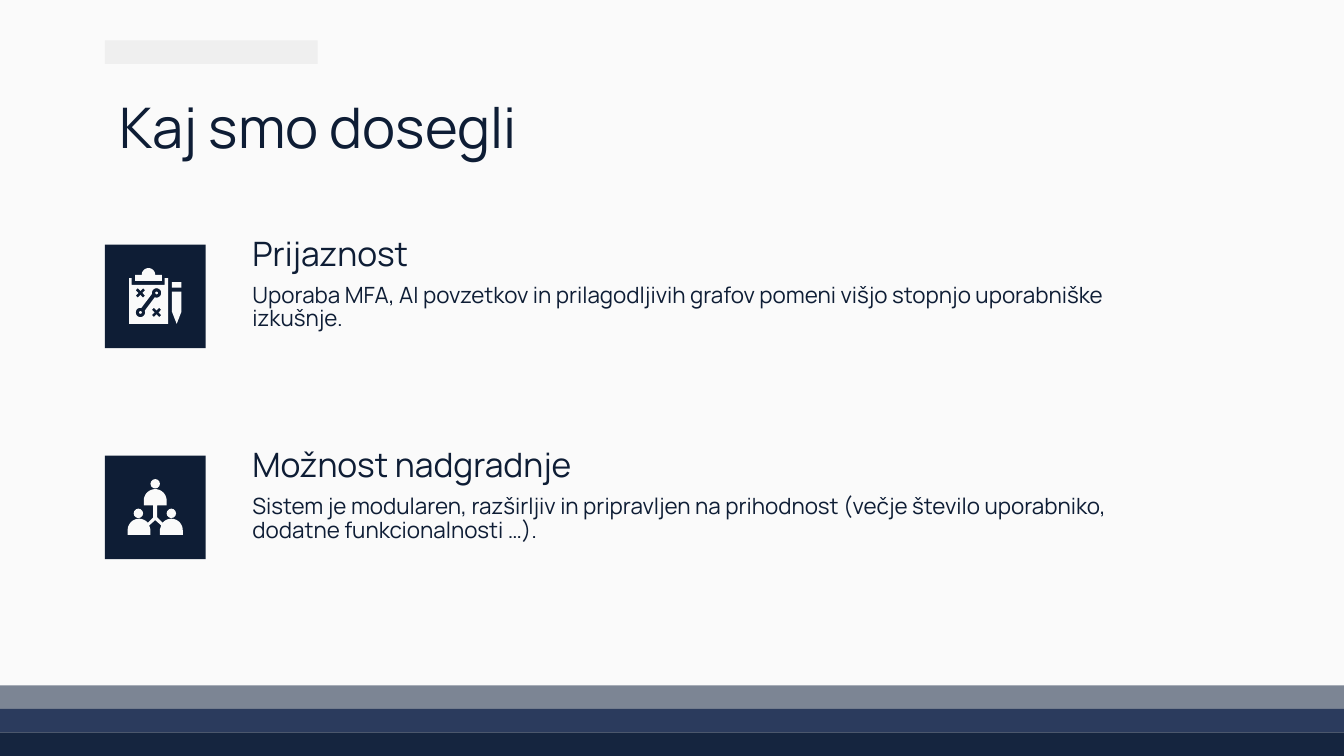
from math import cos, radians, sin

from pptx import Presentation
from pptx.dml.color import RGBColor
from pptx.enum.shapes import MSO_SHAPE
from pptx.enum.text import MSO_ANCHOR
from pptx.util import Pt

PX = 4572
FONT = "Manrope"
PAPER = RGBColor(0xFA, 0xFA, 0xFA)
NAVY = RGBColor(0x0E, 0x1D, 0x35)
TAG_GREY = RGBColor(0xEF, 0xEF, 0xEF)
BANDS = [
    RGBColor(0x7C, 0x85, 0x94),
    RGBColor(0x2B, 0x3B, 0x5D),
    RGBColor(0x15, 0x25, 0x3F),
]
CROSS = [(4, -7), (7, -4), (3, 0), (7, 4), (4, 7), (0, 3),
         (-4, 7), (-7, 4), (-3, 0), (-7, -4), (-4, -7), (0, -3)]


def arc(cx, cy, radius, start, end, steps=24):
    angles = [radians(start + (end - start) * i / steps) for i in range(steps + 1)]
    return [(cx + radius * cos(a), cy + radius * sin(a)) for a in angles]


def cross(cx, cy):
    return [(cx + dx, cy + dy) for dx, dy in CROSS]


class SlideBuilder:
    def __init__(self, slide):
        self.slide = slide
        slide.background.fill.solid()
        slide.background.fill.fore_color.rgb = PAPER

    def paint(self, shape, color):
        shape.shadow.inherit = False
        shape.fill.solid()
        shape.fill.fore_color.rgb = color
        shape.line.fill.background()

    def block(self, left, top, width, height, color, kind=MSO_SHAPE.RECTANGLE):
        box = [v * PX for v in (left, top, width, height)]
        self.paint(self.slide.shapes.add_shape(kind, *box), color)

    def outline(self, *contours):
        scaled = [[(round(x * PX), round(y * PX)) for x, y in c] for c in contours]
        builder = self.slide.shapes.build_freeform(*scaled[0][0])
        builder.add_line_segments(scaled[0][1:])
        for contour in scaled[1:]:
            builder.move_to(*contour[0])
            builder.add_line_segments(contour[1:])
        self.paint(builder.convert_to_shape(), PAPER)

    def text(self, left, top, width, height, words, size,
             anchor=MSO_ANCHOR.TOP, spacing=1.0):
        box = [v * PX for v in (left, top, width, height)]
        frame = self.slide.shapes.add_textbox(*box).text_frame
        frame.word_wrap = True
        frame.vertical_anchor = anchor
        frame.margin_left = frame.margin_right = 20 * PX
        frame.margin_top = frame.margin_bottom = 20 * PX
        frame.text = words
        paragraph = frame.paragraphs[0]
        paragraph.line_spacing = spacing
        font = paragraph.runs[0].font
        font.name = FONT
        font.size = Pt(size)
        font.color.rgb = NAVY

    def achievement(self, top, heading, detail):
        self.text(356, top, 1370, 78, heading, 18, MSO_ANCHOR.BOTTOM)
        self.text(356, top + 56, 1370, 154, detail, 12, spacing=0.87)
        self.block(156, top + 16, 150, 154, NAVY)

    def plan_icon(self):
        board = [(192, 414), (192, 482), (250, 482), (250, 414),
                 (245, 414), (245, 424), (196, 424), (196, 414)]
        route = arc(209, 465, 7, -22, 282) + arc(233, 436, 7, 168, 472)
        self.outline(board, route, cross(209, 436), cross(233, 465))
        for cx, cy in [(209, 465), (233, 436)]:
            self.block(cx - 2, cy - 2, 4, 4, PAPER, MSO_SHAPE.OVAL)
        self.outline([(201, 418), (201, 409), *arc(221, 409, 10, 180, 360),
                      (241, 409), (241, 418)])
        self.outline([(256, 434), (256, 464), (263, 482), (270, 464), (270, 434)])
        self.block(256, 420, 14, 8, PAPER)

    def team_icon(self):
        for left, top in [(224, 713), (199, 757), (248, 757)]:
            self.block(left, top, 14, 14, PAPER, MSO_SHAPE.OVAL)
        self.outline([
            *arc(231, 745, 17, 180, 360), (248, 752), (234, 752), (234, 770),
            (242, 778), *arc(255, 789, 17, 220, 360), (272, 796), (238, 796),
            (238, 788), (240, 782), (231, 774), (222, 782), (224, 788),
            (224, 796), (190, 796), *arc(207, 789, 17, 180, 320),
            (228, 770), (228, 752), (214, 752),
        ])


def main():
    deck = Presentation()
    deck.slide_width = 2000 * PX
    deck.slide_height = 1125 * PX
    page = SlideBuilder(deck.slides.add_slide(deck.slide_layouts[6]))
    for row, color in enumerate(BANDS):
        page.block(0, 1020 + 35 * row, 2000, 35, color)
    page.block(156, 60, 317, 35, TAG_GREY)
    page.text(158, 118, 1686, 126, "Kaj smo dosegli", 30)
    page.achievement(348, "Prijaznost",
                     "Uporaba MFA, AI povzetkov in prilagodljivih grafov pomeni "
                     "višjo stopnjo uporabniške izkušnje.")
    page.achievement(662, "Možnost nadgradnje",
                     "Sistem je modularen, razširljiv in pripravljen na prihodnost "
                     "(večje število uporabniko, dodatne funkcionalnosti …).")
    page.plan_icon()
    page.team_icon()
    deck.save("out.pptx")


if __name__ == "__main__":
    main()
